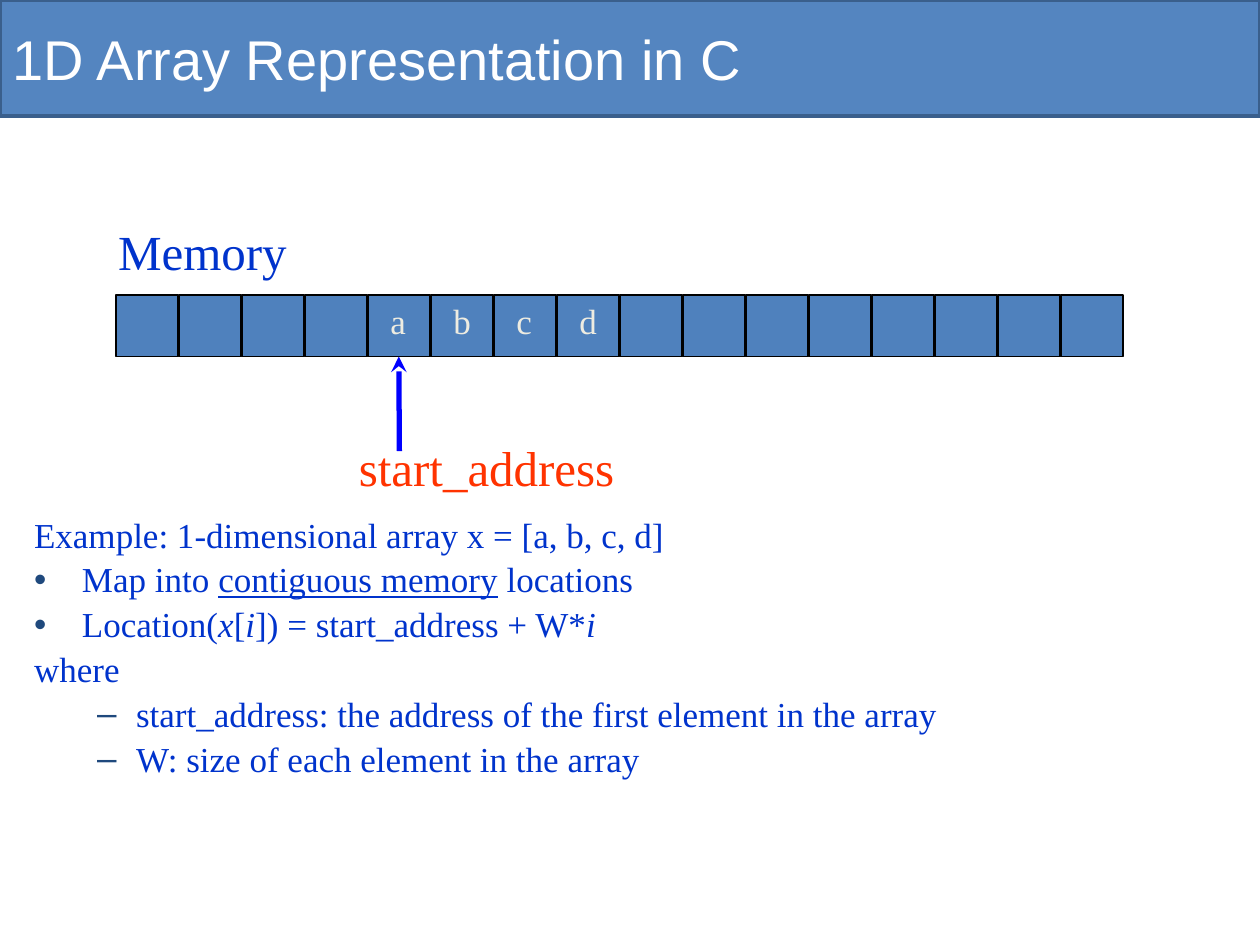
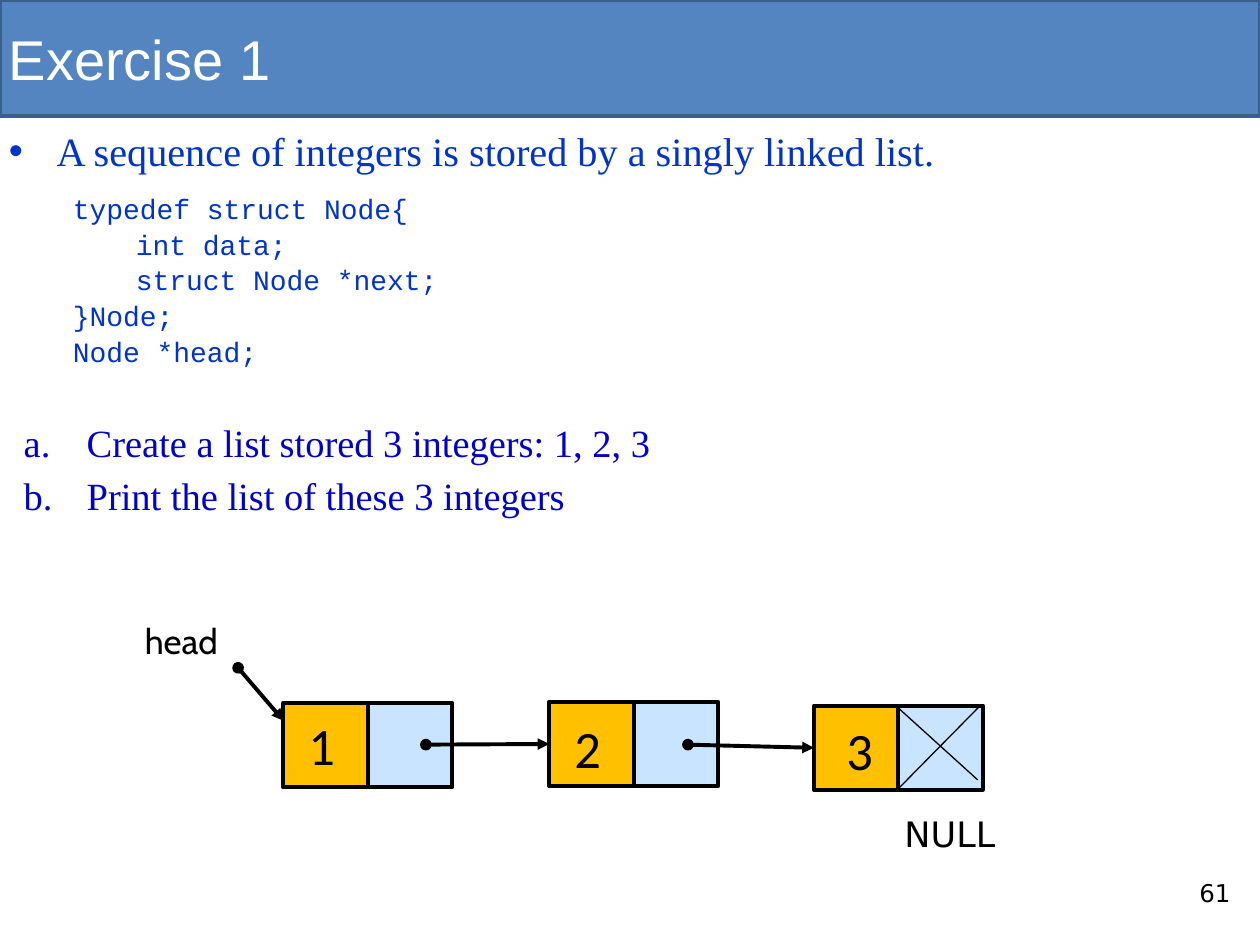
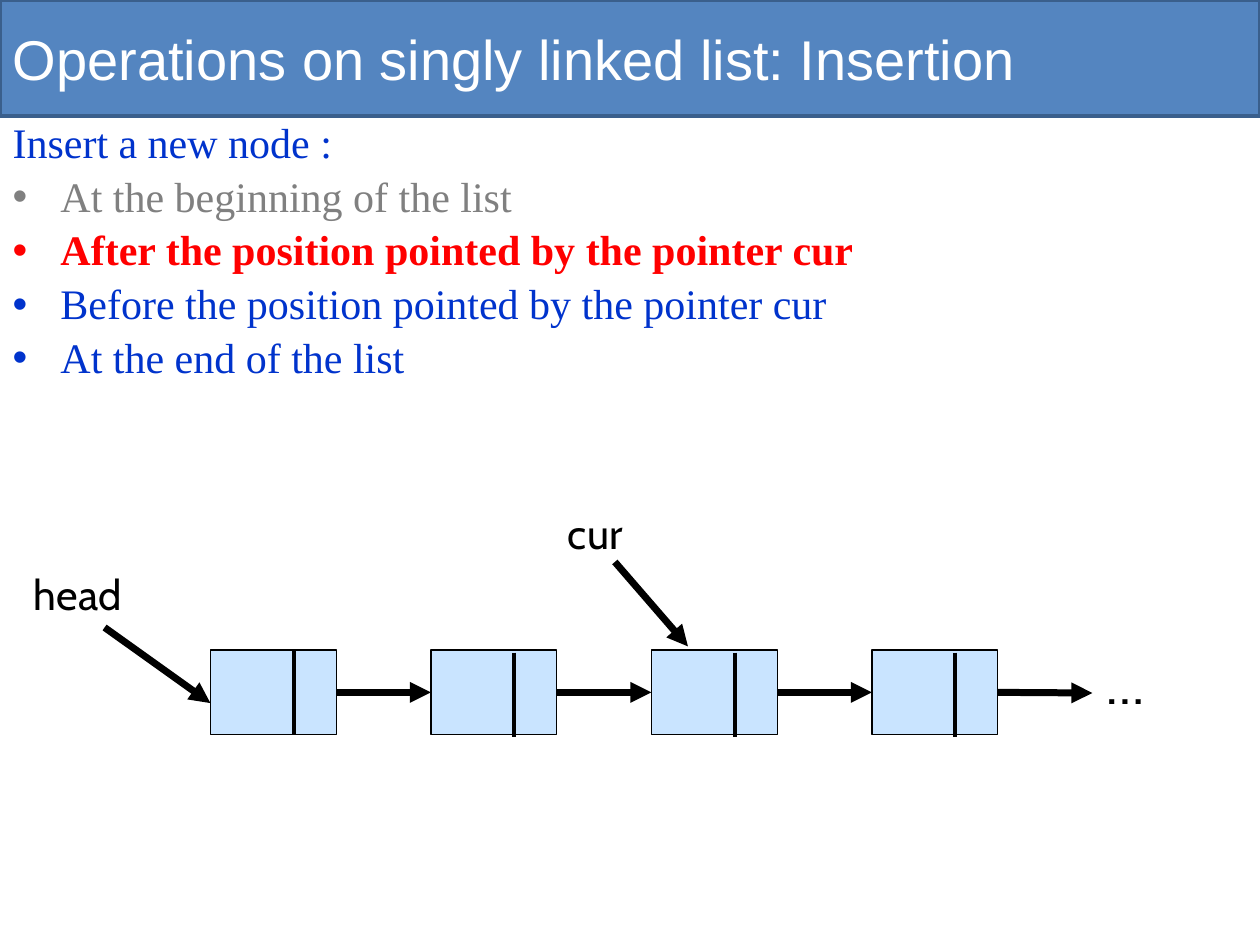
from dataclasses import dataclass

from lxml import etree
from pptx import Presentation
from pptx import util as u
from pptx.dml.color import RGBColor
from pptx.enum import shapes, text
from pptx.oxml.ns import qn


@dataclass(frozen=True)
class Theme:
    band: str = "5485C0"
    band_edge: str = "3A5F8C"
    cell: str = "4F81BD"
    node: str = "C9E4FF"
    data: str = "FFC000"
    white: str = "FFFFFF"
    black: str = "000000"
    blue: str = "0033CC"
    task: str = "0000CC"
    pointer: str = "0000FF"
    address: str = "FF3300"
    letter: str = "EEECE1"
    bullet: str = "1F497D"
    done: str = "808080"
    current: str = "FF0000"
    heading: str = "Arial"
    serif: str = "Times New Roman"
    code: str = "Courier New"
    label: str = "Cabin"
    digit: str = "Calibri"
    plain: str = "DejaVu Sans"
    title_size: int = 32
    big: int = 28
    digit_size: int = 30
    list_size: int = 24
    lead_size: int = 23
    task_size: int = 22
    body_size: int = 20
    code_size: int = 16
    number_size: int = 14


T = Theme()
RECT = shapes.MSO_SHAPE.RECTANGLE
STRAIGHT = shapes.MSO_CONNECTOR.STRAIGHT


def write(sp, box, font, size, color, paras, spacing=1.0, before=0, bullet_color=None,
          wrap=True, align=text.PP_ALIGN.LEFT, anchor=text.MSO_ANCHOR.TOP):
    sp.left, sp.top, sp.width, sp.height = map(u.Inches, box)
    tf = sp.text_frame
    tf.auto_size = text.MSO_AUTO_SIZE.NONE
    tf.word_wrap = wrap
    tf.vertical_anchor = anchor
    for i, (level, left, hang, bullet, runs) in enumerate(paras):
        p = tf.paragraphs[0] if i == 0 else tf.add_paragraph()
        p.level = level
        pPr = p._p.get_or_add_pPr()
        pPr.set("marL", str(u.Inches(left)))
        pPr.set("indent", str(u.Inches(-hang)))
        if bullet and bullet_color:
            clr = etree.SubElement(pPr, qn("a:buClr"))
            etree.SubElement(clr, qn("a:srgbClr"), val=bullet_color)
        if bullet == "auto":
            etree.SubElement(pPr, qn("a:buAutoNum"), type="alphaLcPeriod")
        elif bullet:
            etree.SubElement(pPr, qn("a:buChar"), char=bullet)
        else:
            etree.SubElement(pPr, qn("a:buNone"))
        p.alignment = align
        p.line_spacing = spacing
        p.space_before = u.Pt(size * before if i else 0)
        for content, look in runs:
            r = p.add_run()
            r.text = content
            r.font.name = font
            r.font.size = u.Pt(size)
            r.font.color.rgb = RGBColor.from_string(look.get("color", color))
            r.font.bold = look.get("bold", False)
            r.font.italic = look.get("italic", False)
            r.font.underline = look.get("underline", False)


def draw(sp, color, width, fill=None, head=None, tail=None):
    sp.line.color.rgb = RGBColor.from_string(color)
    sp.line.width = u.Pt(width)
    if fill:
        sp.fill.solid()
        sp.fill.fore_color.rgb = RGBColor.from_string(fill)
        sp.shadow.inherit = False
        return
    spPr = sp.element.spPr
    ln = spPr.find(qn("a:ln"))
    for tag, kind in (("a:headEnd", head), ("a:tailEnd", tail)):
        if kind:
            etree.SubElement(ln, qn(tag), type=kind)
    etree.SubElement(spPr, qn("a:effectLst"))


prs = Presentation()
prs.slide_width, prs.slide_height = u.Inches(10), u.Inches(7.5)
layout = prs.slide_layouts[1]

titles = [
    ("1D Array Representation in C", (0, 0, 9.75, 0.93)),
    ("Exercise 1", (-0.03, 0, 10.03, 0.92)),
    ("Operations on singly linked list: Insertion", (0, 0, 10, 0.92)),
]
slides = []
for title, box in titles:
    s = prs.slides.add_slide(layout)
    write(s.shapes.title, box, T.heading, T.title_size, T.white,
          [(0, 0, 0, None, [(title, {})])], anchor=text.MSO_ANCHOR.MIDDLE)
    slides.append(s)
array, exercise, insertion = slides

band = array.shapes.add_shape(RECT, 0, 0, u.Inches(10), u.Inches(0.92))
draw(band, T.band_edge, 2, T.band)
band.element.nvSpPr.cNvPr.set("id", "20")
layout.element.cSld.spTree.insert(2, band.element)

s = array
italic = {"italic": True}
write(s.placeholders[1], (0.17, 4.06, 9.75, 1.69), T.serif, T.body_size, T.blue, [
    (0, 0, 0, None, [("Example: 1-dimensional array x = [a, b, c, d]", {})]),
    (0, 0.38, 0.38, "•", [("Map into ", {}), ("contiguous memory", {"underline": True}),
                          (" locations", {})]),
    (0, 0.38, 0.38, "•", [("Location(", {}), ("x", italic), ("[", {}), ("i", italic),
                          ("]) = start_address + W*", {}), ("i", italic)]),
    (0, 0, 0, None, [("where", {})]),
    (1, 0.81, 0.31, "–", [("start_address: the address of the first element in the array", {})]),
    (1, 0.81, 0.31, "–", [("W: size of each element in the array", {})]),
], 0.9, 0.2, T.bullet)

cells = []
for i in range(16):
    cell = s.shapes.add_shape(RECT, *map(u.Inches, (0.92 + 0.5 * i, 2.34, 0.49, 0.49)))
    draw(cell, T.black, 1, T.cell)
    cells.append(cell)
for i, letter in enumerate("abcd"):
    write(s.shapes.add_textbox(0, 0, 0, 0), (3 + 0.5 * i, 2.33, 0.33, 0.43),
          T.serif, T.body_size, T.letter, [(0, 0, 0, None, [(letter, {})])], wrap=False)
arrow = s.shapes.add_connector(STRAIGHT, *map(u.Inches, (3.17, 3.58, 3.17, 2.83)))
arrow.end_connect(cells[4], 2)
draw(arrow, T.pointer, 3, tail="stealth")
for label, box, left, color in [
    ("Memory", (0.59, 1.71, 2.67, 0.57), 0.25, T.blue),
    ("start_address", (2.75, 3.42, 2.5, 0.57), 0, T.address),
]:
    write(s.shapes.add_textbox(0, 0, 0, 0), box, T.serif, T.big, color,
          [(0, left, 0, None, [(label, {})])])

s = exercise
write(s.placeholders[1], (-0.03, 1.03, 9.92, 2.89), T.serif, T.lead_size, T.blue,
      [(0, 0.38, 0.38, "•",
        [("A sequence of integers is stored by a singly linked list.", {})])], 0.8)
write(s.shapes.add_textbox(0, 0, 0, 0), (0.09, 3.35, 9.27, 0.84), T.serif, T.task_size, T.task,
      [(0, 0.5, 0.5, "auto", [(task, {})]) for task in (
          "Create a list stored 3 integers: 1, 2, 3", "Print the list of these 3 integers")],
      0.8, 0.4)
write(s.shapes.add_textbox(0, 0, 0, 0), (0.48, 1.5, 3.53, 0.53), T.code, T.code_size, T.blue, [
    (0, 0.38, 0.38, None, [("typedef struct Node{", {})]),
    (1, 0.81, 0.31, None, [("int data;", {})]),
    (1, 0.81, 0.31, None, [("struct Node *next;", {})]),
    (0, 0.38, 0.38, None, [("}Node;", {})]),
    (0, 0.38, 0.38, None, [("Node *head;", {})]),
], 0.9, 0.2)

data_cells = []
for digit, x, y, digit_x, digit_y in [
    ("1", 2.25, 5.58, 2.35, 5.61),
    ("2", 4.36, 5.57, 4.46, 5.63),
    ("3", 6.46, 5.6, 6.62, 5.65),
]:
    for left, fill in ((x + 0.67, T.node), (x, T.data)):
        cell = s.shapes.add_shape(RECT, *map(u.Inches, (left, y, 0.67, 0.67)))
        draw(cell, T.black, 2.25, fill)
    data_cells.append(cell)
    write(s.shapes.add_textbox(0, 0, 0, 0), (digit_x, digit_y, 1, 0.61),
          T.digit, T.digit_size, T.black, [(0, 0, 0, None, [(digit, {})])])
for ends, target in [
    ((1.89, 5.3, 2.25, 5.72), None),
    ((3.38, 5.91, 4.36, 5.91), data_cells[1]),
    ((5.46, 5.91, 6.46, 5.91), data_cells[2]),
]:
    arrow = s.shapes.add_connector(STRAIGHT, *map(u.Inches, ends))
    if target:
        arrow.end_connect(target, 1)
    draw(arrow, T.black, 2.25, head="oval", tail="triangle")
for ends in [(7.79, 5.59, 7.12, 6.27), (7.12, 5.61, 7.76, 6.19)]:
    draw(s.shapes.add_connector(STRAIGHT, *map(u.Inches, ends)), T.black, 0.75)
for label, box, font, size, align in [
    ("head", (0.86, 4.87, 1.16, 0.44), T.label, T.body_size, text.PP_ALIGN.CENTER),
    ("NULL", (7.08, 6.4, 1.08, 0.44), T.plain, T.body_size, text.PP_ALIGN.LEFT),
    ("61", (9.42, 6.92, 0.5, 0.4), T.plain, T.number_size, text.PP_ALIGN.LEFT),
]:
    write(s.shapes.add_textbox(0, 0, 0, 0), box, font, size, T.black,
          [(0, 0, 0, None, [(label, {})])], align=align)

s = insertion
write(s.placeholders[1], (0, 0.92, 10, 5.92), T.serif, T.list_size, T.blue, [
    (0, 0, 0, None, [("Insert a new node :", {})]),
    (0, 0.38, 0.38, "•", [("At the beginning of the list", {"color": T.done})]),
    (0, 0.38, 0.38, "•", [("After the position pointed by the pointer cur",
                          {"color": T.current, "bold": True})]),
    (0, 0.38, 0.38, "•", [("Before the position pointed by the pointer cur", {})]),
    (0, 0.38, 0.38, "•", [("At the end of the list", {})]),
], 0.9, 0.2)

nodes = []
for i in range(4):
    x = 1.67 + 1.75 * i
    node = s.shapes.add_shape(RECT, *map(u.Inches, (x, 5.16, 1, 0.67)))
    draw(node, T.black, 0.75, T.node)
    nodes.append(node)
    top = 5.18 if i else 5.16
    divider = s.shapes.add_connector(
        STRAIGHT, *map(u.Inches, (x + 0.66, top, x + 0.66, top + 0.67)))
    draw(divider, T.black, 2.25)
for i, node in enumerate(nodes):
    x = 2.67 + 1.75 * i
    arrow = s.shapes.add_connector(STRAIGHT, *map(u.Inches, (x, 5.5, x + 0.75, 5.5)))
    arrow.begin_connect(node, 3)
    if i + 1 < len(nodes):
        arrow.end_connect(nodes[i + 1], 1)
    draw(arrow, T.black, 4, tail="triangle")
for ends in [(0.83, 4.98, 1.67, 5.58), (4.88, 4.46, 5.46, 5.13)]:
    draw(s.shapes.add_connector(STRAIGHT, *map(u.Inches, ends)), T.black, 4, tail="triangle")
for label, box, size in [
    ("head", (0.17, 4.46, 1.5, 0.5), T.list_size),
    ("cur", (4.41, 3.98, 1.5, 0.5), T.list_size),
    ("…", (8.68, 5.1, 1.17, 0.63), T.title_size),
]:
    write(s.shapes.add_textbox(0, 0, 0, 0), box, T.label, size, T.black,
          [(0, 0, 0, None, [(label, {})])])

prs.save("out.pptx")
